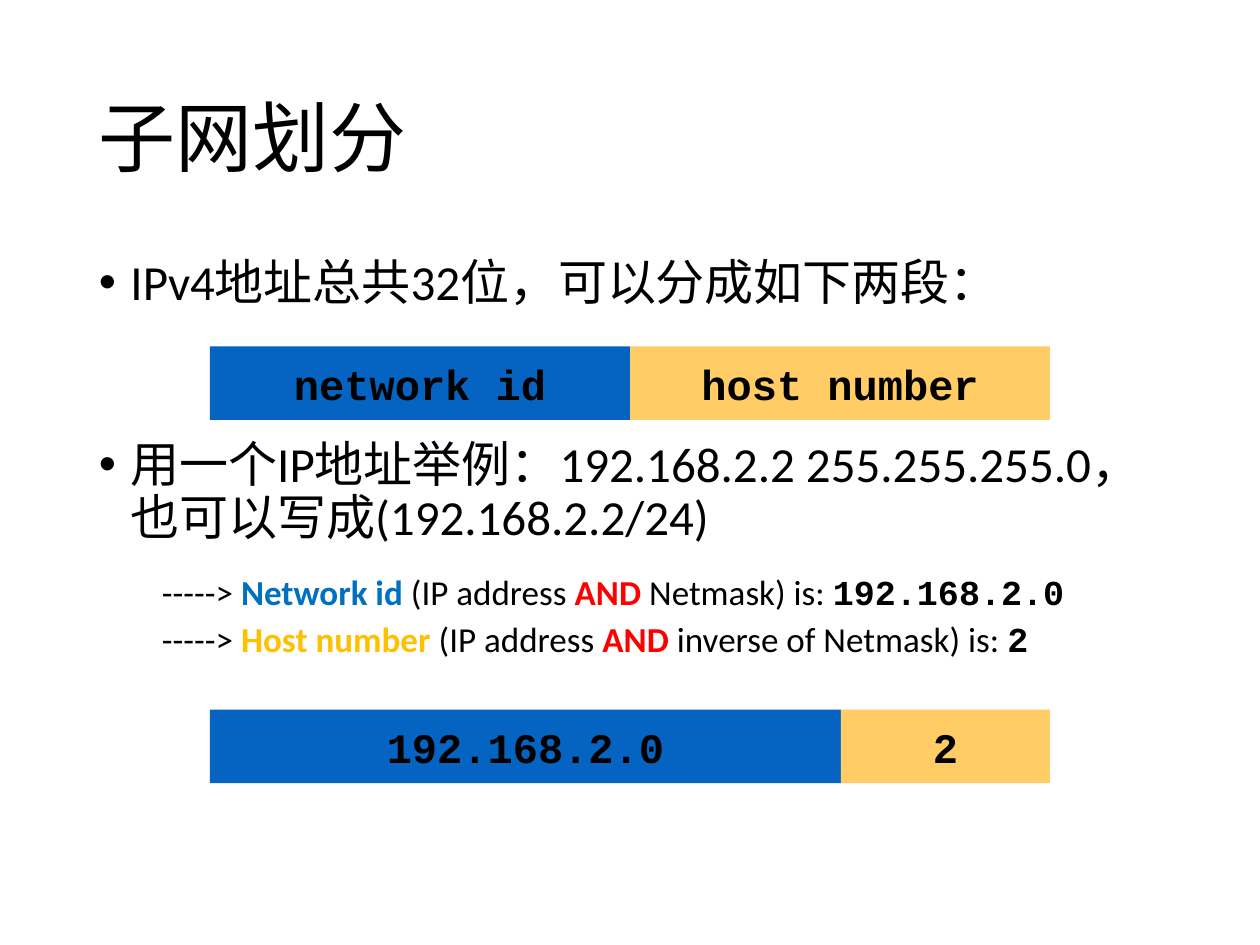
from pptx import Presentation
from pptx.dml.color import RGBColor
from pptx.enum.shapes import MSO_SHAPE
from pptx.enum.text import MSO_ANCHOR, PP_ALIGN
from pptx.oxml import parse_xml
from pptx.oxml.ns import nsdecls
from pptx.util import Pt

BLACK, RED = "000000", "FF0000"
NETWORK_FILL, HOST_FILL = "0563C1", "FFCC66"
NETWORK_TEXT, HOST_TEXT = "0070C0", "FFC000"
SANS, MONO = "Calibri", "Courier New"
BAR_LEFT, BAR_WIDTH, BAR_HEIGHT = 120, 480, 42


def color(value):
    """Turn a hex string into a colour."""
    return RGBColor.from_string(value)


def set_font(font, name, size, hex_color=BLACK, bold=False):
    """Set the look of a font."""
    font.name, font.size, font.bold = name, Pt(size), bold
    font.color.rgb = color(hex_color)


def add_text_box(page, left, top, width, height, anchor):
    """Add a wrapping text box and return its text frame."""
    frame = page.shapes.add_textbox(Pt(left), Pt(top), Pt(width), Pt(height)).text_frame
    frame.word_wrap = True
    frame.vertical_anchor = anchor
    return frame


def space(para, before, after=0):
    """Set line and paragraph spacing."""
    para.line_spacing = 0.9
    para.space_before, para.space_after = Pt(before), Pt(after)


def indent(para, left, bullet=None):
    """Give a paragraph a hanging indent and an optional bullet."""
    props = para._p.get_or_add_pPr()
    props.set("marL", str(Pt(left)))
    props.set("indent", str(Pt(-18)))
    if bullet:
        props.append(parse_xml(f'<a:buFont {nsdecls("a")} typeface="Arial"/>'))
        props.append(parse_xml(f'<a:buChar {nsdecls("a")} char="{bullet}"/>'))
    else:
        props.append(parse_xml(f'<a:buNone {nsdecls("a")}/>'))


def add_bullet(para, text, before):
    """Write a bulleted paragraph."""
    para.text = text
    space(para, before, 12)
    indent(para, 18, "•")
    set_font(para.font, SANS, 28)


def add_result(para, label, label_color, operand, value):
    """Write one line that derives a part of the address."""
    para.level = 1
    space(para, 5)
    indent(para, 54)
    spans = [
        ("-----> ", SANS, BLACK, False),
        (label + " ", SANS, label_color, True),
        ("(IP address ", SANS, BLACK, False),
        ("AND", SANS, RED, True),
        (f" {operand}) is: ", SANS, BLACK, False),
        (value, MONO, BLACK, True),
    ]
    for text, name, hex_color, bold in spans:
        span = para.add_run()
        span.text = text
        set_font(span.font, name, 20, hex_color, bold)


def add_segment(shapes, left, top, width, text, fill):
    """Add one labelled part of an address bar."""
    box = shapes.add_shape(MSO_SHAPE.RECTANGLE, Pt(left), Pt(top), Pt(width), Pt(BAR_HEIGHT))
    box.shadow.inherit = False
    box.fill.solid()
    box.fill.fore_color.rgb = color(fill)
    box.line.fill.background()
    frame = box.text_frame
    frame.word_wrap = False
    frame.vertical_anchor = MSO_ANCHOR.MIDDLE
    para = frame.paragraphs[0]
    para.text = text
    para.alignment = PP_ALIGN.CENTER
    set_font(para.font, MONO, 24, bold=True)


def add_address_bar(shapes, top, network_width, network, host):
    """Add a bar split into network and host parts."""
    add_segment(shapes, BAR_LEFT, top, network_width, network, NETWORK_FILL)
    add_segment(shapes, BAR_LEFT + network_width, top, BAR_WIDTH - network_width,
                host, HOST_FILL)


def main():
    """Build the slide on subnetting."""
    deck = Presentation()
    deck.slide_width, deck.slide_height = Pt(720), Pt(540)
    page = deck.slides.add_slide(deck.slide_layouts[6])

    title = add_text_box(page, 49.5, 28.75, 621, 104.4, MSO_ANCHOR.MIDDLE).paragraphs[0]
    title.text = "子网划分"
    space(title, 0)
    set_font(title.font, SANS, 44)

    body = add_text_box(page, 49.5, 143.75, 621, 342.6, MSO_ANCHOR.TOP)
    add_bullet(body.paragraphs[0], "IPv4地址总共32位，可以分成如下两段：", 10)
    # The wide gap leaves room for the first address bar.
    add_bullet(body.add_paragraph(),
               "用一个IP地址举例：192.168.2.2 255.255.255.0，也可以写成(192.168.2.2/24)", 62)
    add_result(body.add_paragraph(), "Network id", NETWORK_TEXT, "Netmask", "192.168.2.0")
    add_result(body.add_paragraph(), "Host number", HOST_TEXT, "inverse of Netmask", "2")

    add_address_bar(page.shapes, 198, BAR_WIDTH / 2, "network id", "host number")
    example = page.shapes.add_group_shape()
    add_address_bar(example.shapes, 405.5, 360.5, "192.168.2.0", "2")
    deck.save("out.pptx")


main()
